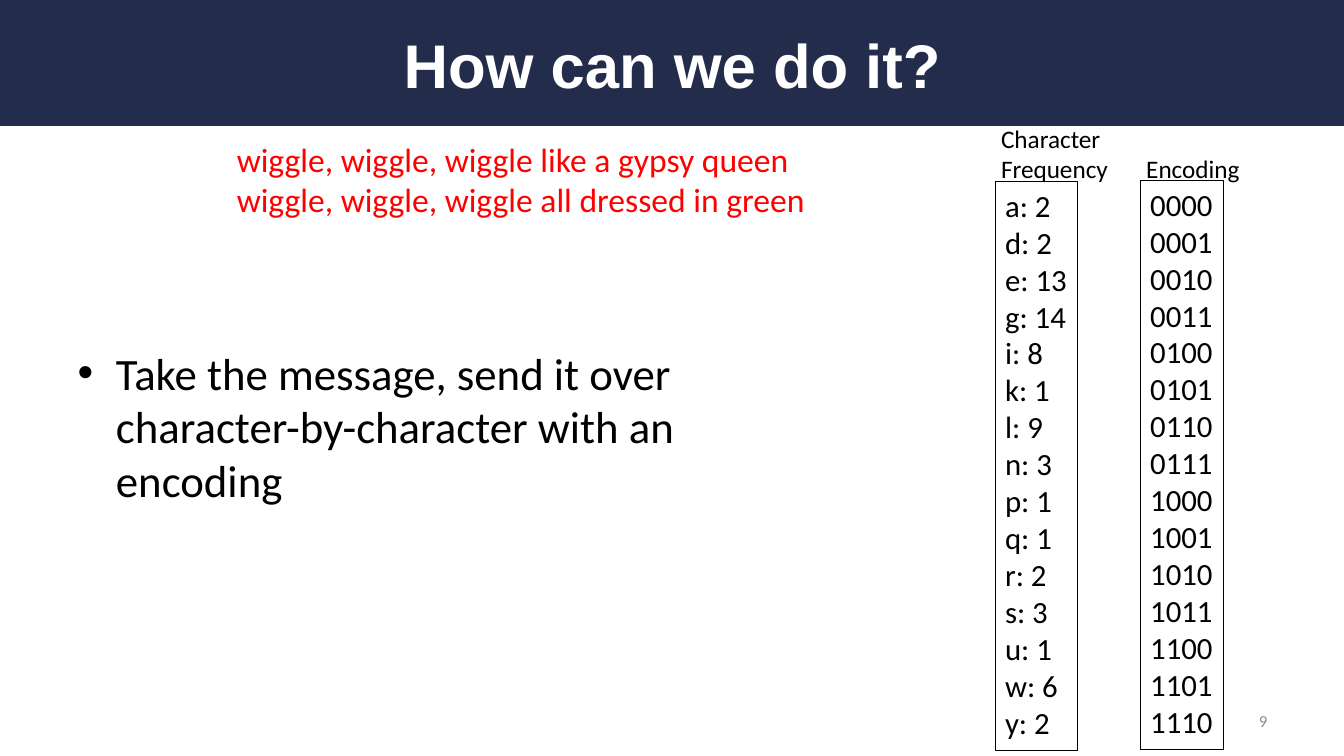
from dataclasses import dataclass

from lxml import etree
from pptx import Presentation, util as u
from pptx.dml.color import RGBColor
from pptx.enum import shapes, text
from pptx.oxml.ns import qn


@dataclass(frozen=True)
class Theme:
    """Hold the colours, fonts and type sizes."""
    navy: str = "232D4B"
    white: str = "FFFFFF"
    black: str = "000000"
    red: str = "FF0000"
    grey: str = "8C8C8C"
    head: str = "Arial"
    main: str = "Calibri"
    title: int = 44
    body: int = 32
    quote: int = 24
    code: int = 22
    label: int = 18
    page: int = 12


LOOK = Theme()
COUNTS = {"a": 2, "d": 2, "e": 13, "g": 14, "i": 8, "k": 1, "l": 9, "n": 3,
          "p": 1, "q": 1, "r": 2, "s": 3, "u": 1, "w": 6, "y": 2}


def place(shape, box):
    """Move a shape to a box given in inches."""
    shape.left, shape.top, shape.width, shape.height = map(u.Inches, box)


def write(shape, lines, size=LOOK.code, color=LOOK.black, font=LOOK.main,
          bold=False, align=text.PP_ALIGN.LEFT, anchor=text.MSO_ANCHOR.TOP,
          wrap=True, fit=text.MSO_AUTO_SIZE.NONE):
    """Fill a shape with one paragraph per line and format it."""
    frame = shape.text_frame
    frame.word_wrap = wrap
    frame.auto_size = fit
    frame.vertical_anchor = anchor
    for i, line in enumerate(lines):
        para = frame.add_paragraph() if i else frame.paragraphs[0]
        para.text = line
        para.alignment = align
        for run in para.runs:
            run.font.size = u.Pt(size)
            run.font.name = font
            run.font.bold = bold
            run.font.color.rgb = RGBColor.from_string(color)


def label(slide, box, lines, **form):
    """Add a text box with formatted lines."""
    shape = slide.shapes.add_textbox(*map(u.Inches, box))
    write(shape, lines, **form)
    return shape


def header(slide, box):
    """Draw the title band with the title inside it."""
    left, top, width, height = box
    band = slide.shapes.add_shape(shapes.MSO_SHAPE.RECTANGLE,
                                  *map(u.Inches, box))
    band.shadow.inherit = False
    band.fill.solid()
    band.fill.fore_color.rgb = RGBColor.from_string(LOOK.navy)
    band.line.fill.background()
    slide.shapes._spTree.insert(2, band._element)
    title = slide.shapes.title
    place(title, (left + 0.67, top + 0.17, width - 1.33, height - 0.33))
    write(title, ["How can we do it?"], size=LOOK.title, color=LOOK.white,
          font=LOOK.head, bold=True, align=text.PP_ALIGN.CENTER,
          anchor=text.MSO_ANCHOR.MIDDLE)


def points(slide, box):
    """Set the bulleted list in the body placeholder."""
    body = slide.placeholders[1]
    place(body, box)
    write(body, ["Take the message, send it over character-by-character "
                 "with an encoding"],
          size=LOOK.body, anchor=text.MSO_ANCHOR.MIDDLE)
    para = body.text_frame.paragraphs[0]
    props = para._p.get_or_add_pPr()
    props.set("marL", str(u.Inches(0.38)))
    props.set("indent", str(-u.Inches(0.38)))
    etree.SubElement(props, qn("a:buFont")).set("typeface", LOOK.head)
    etree.SubElement(props, qn("a:buChar")).set("char", "•")
    para.space_before = u.Pt(0)


def column(slide, box, name, rise, width, rows):
    """Draw an outlined list with its heading above it."""
    left, top = box[:2]
    grow = text.MSO_AUTO_SIZE.SHAPE_TO_FIT_TEXT
    frame = label(slide, box, rows, wrap=False, fit=grow)
    frame.line.color.rgb = RGBColor.from_string(LOOK.black)
    frame.line.width = u.Pt(0.75)
    label(slide, (left - 0.04, top - rise, width, rise + 0.08), [name],
          size=LOOK.label, fit=grow)


def main():
    """Build the slide and save it."""
    deck = Presentation()
    deck.slide_width, deck.slide_height = u.Inches(13.33), u.Inches(7.5)
    slide = deck.slides.add_slide(deck.slide_layouts[1])
    header(slide, (0, 0, 13.33, 1.25))
    points(slide, (0.67, 1.75, 7.53, 4.95))
    label(slide, (9.56, 6.95, 3.11, 0.4), ["9"], size=LOOK.page,
          color=LOOK.grey, align=text.PP_ALIGN.RIGHT,
          anchor=text.MSO_ANCHOR.MIDDLE)
    label(slide, (2.25, 1.33, 5.95, 0.91),
          ["wiggle, wiggle, wiggle like a gypsy queen\v"
           "wiggle, wiggle, wiggle all dressed in green"],
          size=LOOK.quote, color=LOOK.red, wrap=False,
          fit=text.MSO_AUTO_SIZE.SHAPE_TO_FIT_TEXT)
    column(slide, (9.87, 1.8, 0.82, 5.65), "Character Frequency", 0.63, 1.58,
           [f"{key}: {count}" for key, count in COUNTS.items()])
    column(slide, (11.31, 1.79, 0.83, 5.65), "Encoding", 0.32, 1.31,
           [f"{i:04b}" for i in range(len(COUNTS))])
    deck.save("out.pptx")


if __name__ == "__main__":
    main()
